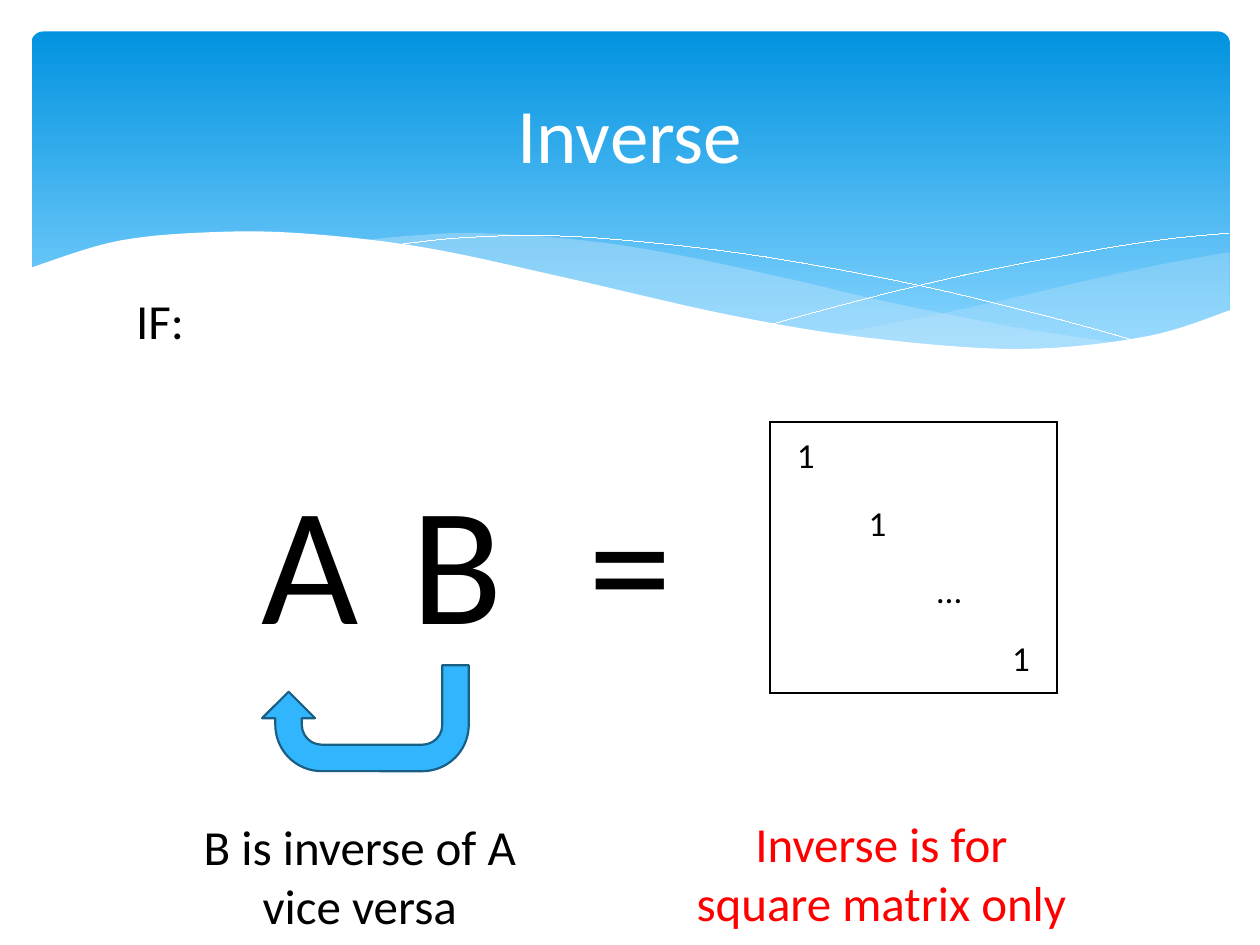
from itertools import pairwise
from lxml import etree
from pptx import Presentation
from pptx.dml.color import RGBColor
from pptx.enum.shapes import MSO_SHAPE
from pptx.enum.text import MSO_ANCHOR, MSO_AUTO_SIZE, PP_ALIGN
from pptx.oxml.ns import qn
from pptx.util import Inches, Pt

WHITE = RGBColor(0xFF, 0xFF, 0xFF)
BLACK = RGBColor(0, 0, 0)
RED = RGBColor(0xFF, 0, 0)
DEEP = RGBColor(0x02, 0x93, 0xE0)
LIGHT = RGBColor(0x83, 0xD3, 0xFE)
PALE = RGBColor(0xC6, 0xE7, 0xFC)
BLUE = RGBColor(0x31, 0xB6, 0xFD)
NAVY = RGBColor(0x19, 0x5F, 0x84)
CENTER = PP_ALIGN.CENTER
MIDDLE = MSO_ANCHOR.MIDDLE
GROW = MSO_AUTO_SIZE.SHAPE_TO_FIT_TEXT
ROUND = MSO_SHAPE.ROUNDED_RECTANGLE
UTURN = MSO_SHAPE.U_TURN_ARROW
FONT = "Calibri"
HAIR = Pt(0.01)
STEPS = 8

BAND = (0.25, 0.25, 9.51, 2.7)
TURN = (2.08, 5.28, 1.64, 0.84)
MATRIX = (6.11, 3.35, 2.28, 2.15)
DIAG = ["1", "1", "…", "1"]

TITLE = ("Inverse", (0.5, 0.37, 9, 1.37), 44, WHITE)
TERMS = [(word, (left, 3.57, 0.88, 1.72), 96, BLACK)
         for word, left in (("A", 1.98), ("B", 3.17), ("=", 4.56))]
NOTES = [("IF:", (0.83, 2.26, 0.88, 0.57), 28, BLACK),
         ("B is inverse of A\nvice versa", (1.18, 6.43, 3.35, 1.04), 28, BLACK),
         ("Inverse is for square matrix only", (5.32, 6.41, 3.35, 1.04), 28, RED)]

SWELL = {
    "top": [(9.76, 2), (9.21, 2.1), (8.61, 2.23), (7.79, 2.42), (7.06, 2.57),
            (6.61, 2.65)],
    "base": [(6.61, 2.65), (7.32, 2.74), (8.03, 2.78), (8.63, 2.75), (9.21, 2.65),
             (9.76, 2.47)],
}
RIBBON = {
    "top": [(8.93, 2.73), (8.07, 2.6), (7.06, 2.4), (6.29, 2.22), (5.41, 2.03),
            (4.65, 1.91), (3.8, 1.85), (3.28, 1.87), (2.86, 1.91)],
    "base": [(2.86, 1.91), (3.62, 2.03), (4.49, 2.22), (5.66, 2.48), (6.65, 2.66),
             (7.48, 2.76), (8.18, 2.78), (8.93, 2.73)],
}
FRONT = {
    "crest": [(9.77, 2.46), (9.1, 2.67), (8.09, 2.77), (6.88, 2.68), (5.79, 2.5),
              (4.47, 2.2), (3.4, 1.97), (2.5, 1.86), (1.77, 1.84), (0.95, 1.91),
              (0.23, 2.13)],
    "left": [(0.23, 2.13), (0.23, 3.29)],
    "floor": [(0.23, 3.29), (9.77, 3.29)],
}
FALL = {"line": [(3.09, 1.95), (3.63, 1.89), (4.33, 1.87), (5.1, 1.92), (6.08, 2.04),
                 (7.27, 2.26), (8.31, 2.51), (9.07, 2.72)]}
RISE = {"line": [(6.13, 2.57), (6.95, 2.35), (7.76, 2.16), (8.66, 1.99), (9.24, 1.9),
                 (9.75, 1.85)]}
WAVES = [(SWELL, PALE, 29), (RIBBON, PALE, 40), (FALL, None, 0),
         (RISE, None, 0), (FRONT, WHITE, 100)]


def blend(a, b, c, d, t):
    return b + t / 2 * (c - a + t * (2 * a - 5 * b + 4 * c - d
                                     + t * (3 * (b - c) + d - a)))


def spline(knots):
    ends = [knots[0], *knots, knots[-1]]
    points = [knots[0]]
    for i in range(len(knots) - 1):
        xs, ys = zip(*ends[i:i + 4])
        for step in range(1, STEPS + 1):
            t = step / STEPS
            points.append((blend(*xs, t), blend(*ys, t)))
    return points


def add_wave(slide, edges, color, alpha):
    points = [tuple(map(Inches, point))
              for knots in edges.values() for point in spline(knots)]
    pen = slide.shapes.build_freeform(*points[0])
    pen.add_line_segments(points[1:], close=color is not None)
    wave = pen.convert_to_shape()
    wave.shadow.inherit = False
    if color is None:
        wave.fill.background()
        wave.line.color.rgb = WHITE
        wave.line.width = HAIR
        return
    wave.line.fill.background()
    wave.fill.solid()
    wave.fill.fore_color.rgb = color
    if alpha < 100:
        tint = wave.fill._xPr.find(".//" + qn("a:srgbClr"))
        etree.SubElement(tint, qn("a:alpha"), val=str(alpha * 1000))


def add_band(slide):
    band = slide.shapes.add_shape(ROUND, *map(Inches, BAND))
    band.adjustments[0] = 0.034
    band.shadow.inherit = False
    band.line.fill.background()
    band.fill.gradient()
    band.fill.gradient_angle = 270
    for stop, color, place in zip(band.fill.gradient_stops, (DEEP, LIGHT), (0, 0.9)):
        stop.color.rgb = color
        stop.position = place


def style(frame, size, color):
    for para in frame.paragraphs:
        para.alignment = CENTER
        for run in para.runs:
            run.font.name = FONT
            run.font.size = Pt(size)
            run.font.color.rgb = color


def add_text(slide, text, box, size, color):
    frame = slide.shapes.add_textbox(*map(Inches, box)).text_frame
    frame.word_wrap = True
    frame.text = text
    style(frame, size, color)
    return frame


def add_edge(cell, side, outer):
    edge = etree.SubElement(cell._tc.get_or_add_tcPr(), qn("a:ln" + side), w=str(Pt(1)))
    if outer:
        fill = etree.SubElement(edge, qn("a:solidFill"))
        etree.SubElement(fill, qn("a:srgbClr"), val=str(BLACK))
    else:
        etree.SubElement(edge, qn("a:noFill"))


def add_matrix(slide):
    n = len(DIAG)
    grid = slide.shapes.add_table(n, n, *map(Inches, MATRIX)).table
    grid.first_row = grid.horz_banding = False
    for row in range(n):
        for col in range(n):
            cell = grid.cell(row, col)
            sides = {"L": col == 0, "R": col == n - 1, "T": row == 0, "B": row == n - 1}
            for side, outer in sides.items():
                add_edge(cell, side, outer)
            cell.fill.background()
            if row == col:
                cell.text = DIAG[row]
                cell.vertical_anchor = MIDDLE
                cell.margin_left = cell.margin_right = cell.margin_top = Inches(0.01)
                cell.margin_bottom = 0
                style(cell.text_frame, 20, BLACK)


def add_turn(slide):
    turn = slide.shapes.add_shape(UTURN, *map(Inches, TURN))
    turn.rotation = 180
    turn.shadow.inherit = False
    turn.fill.solid()
    turn.fill.fore_color.rgb = BLUE
    turn.line.color.rgb = NAVY
    turn.line.width = Pt(1.25)


def main():
    deck = Presentation()
    deck.slide_width, deck.slide_height = Inches(10), Inches(7.5)
    slide = deck.slides.add_slide(deck.slide_layouts[6])
    add_band(slide)
    for wave in WAVES:
        add_wave(slide, *wave)
    add_text(slide, *TITLE).vertical_anchor = MIDDLE
    add_matrix(slide)
    for item in TERMS + NOTES:
        add_text(slide, *item).auto_size = GROW
    add_turn(slide)
    deck.save("out.pptx")


if __name__ == "__main__":
    main()
